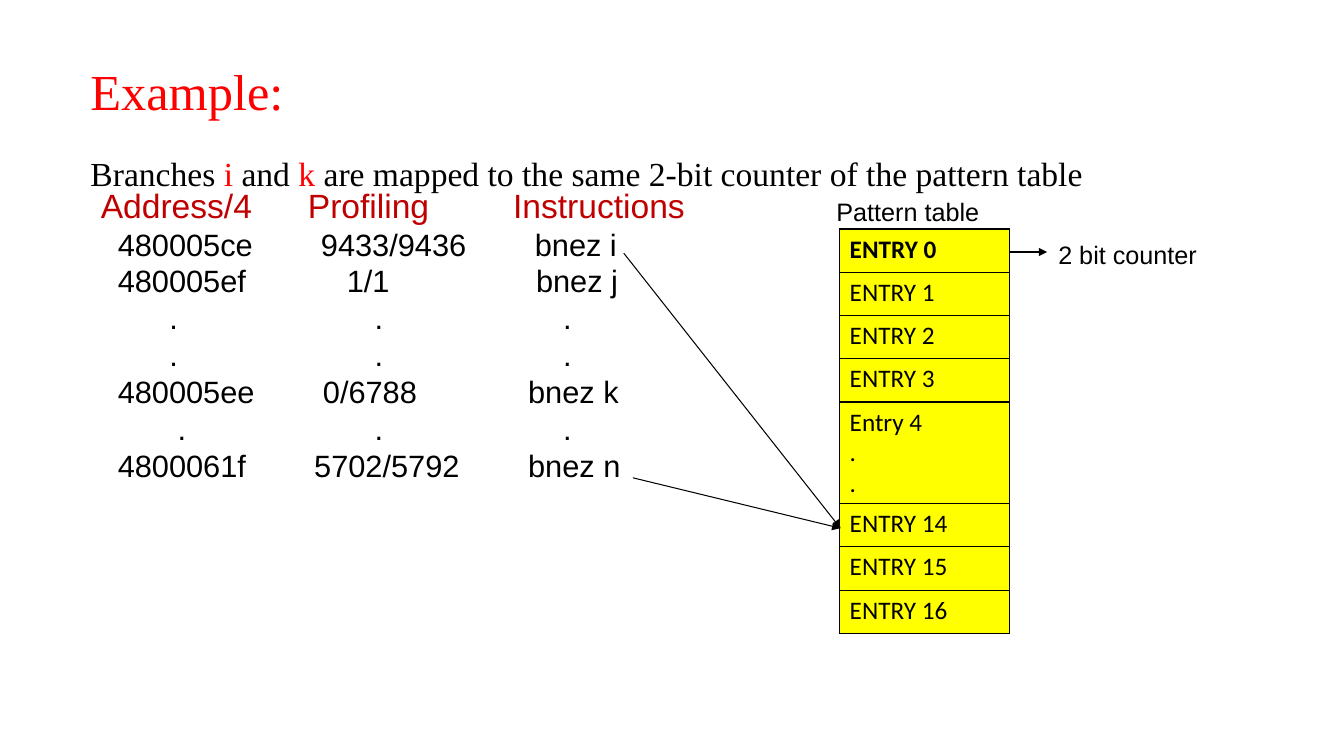
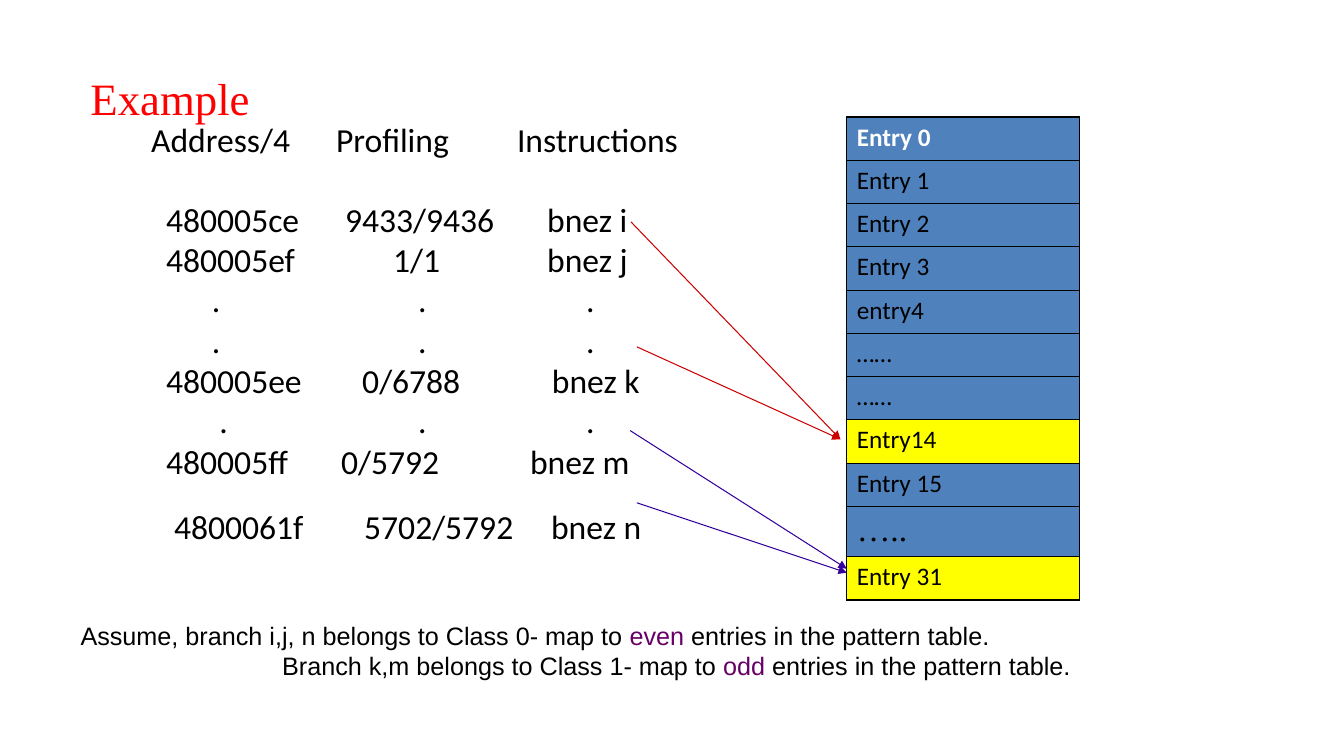
from dataclasses import dataclass

from lxml.etree import SubElement
from pptx import Presentation
from pptx.dml.color import RGBColor
from pptx.enum.shapes import MSO_CONNECTOR as Connector
from pptx.oxml import parse_xml
from pptx.oxml.ns import nsdecls, qn
from pptx.slide import Slide
from pptx.text.text import TextFrame, _Paragraph as Paragraph
from pptx.util import Cm, Pt

BLACK = RGBColor(0x00, 0x00, 0x00)
WHITE = RGBColor(0xFF, 0xFF, 0xFF)
RED = RGBColor(0xFF, 0x00, 0x00)
DARK_RED = RGBColor(0xC0, 0x00, 0x00)
ARROW_RED = RGBColor(0xCC, 0x00, 0x00)
ARROW_BLUE = RGBColor(0x33, 0x00, 0x99)
PURPLE = RGBColor(0x66, 0x00, 0x66)
YELLOW = RGBColor(0xFF, 0xFF, 0x00)
BLUE = RGBColor(0x4F, 0x81, 0xBD)

SANS = "Arial"
BODY = "Calibri"
SERIF = "Times New Roman"
ROW_HEIGHT = 1.09
MARGIN_TOP = 0.13
TITLE_MARGIN_TOP = 0.25
HEADINGS = ("Address/4", "Profiling", "Instructions")
DOTS = (".", ".", ".")


@dataclass(frozen=True)
class Style:
    font: str
    size: float
    color: RGBColor = BLACK
    bold: bool = False


@dataclass(frozen=True)
class Box:
    left: float
    top: float
    width: float
    height: float


@dataclass(frozen=True)
class Branch:
    cells: tuple[str, str, str]
    stops: tuple[float, float, float]
    style: Style
    space_before: float = 0


@dataclass(frozen=True)
class Entry:
    text: str
    fill: RGBColor
    style: Style = Style(BODY, 18)
    height: float = ROW_HEIGHT


@dataclass(frozen=True)
class Arrow:
    start: tuple[float, float]
    end: tuple[float, float]
    color: RGBColor = BLACK


def format_paragraph(paragraph: Paragraph, style: Style) -> None:
    for run in paragraph.runs:
        run.font.name = style.font
        run.font.size = Pt(style.size)
        run.font.bold = style.bold
        run.font.color.rgb = style.color


def add_box(slide: Slide, box: Box, margin_top: float = MARGIN_TOP) -> TextFrame:
    shape = slide.shapes.add_textbox(Cm(box.left), Cm(box.top), Cm(box.width), Cm(box.height))
    text_frame = shape.text_frame
    text_frame.word_wrap = True
    text_frame.margin_top = Cm(margin_top)
    return text_frame


def add_text(slide: Slide, box: Box, text: str, style: Style,
             margin_top: float = MARGIN_TOP) -> TextFrame:
    text_frame = add_box(slide, box, margin_top)
    text_frame.text = text
    format_paragraph(text_frame.paragraphs[0], style)
    return text_frame


def add_title(slide: Slide, box: Box, text: str, size: float) -> TextFrame:
    return add_text(slide, box, text, Style(SERIF, size, RED), TITLE_MARGIN_TOP)


def write_accented(paragraph: Paragraph, parts: tuple[str, ...], style: Style,
                   accent: RGBColor) -> None:
    for part in parts:
        paragraph.add_run().text = part
    format_paragraph(paragraph, style)
    for run in paragraph.runs[1::2]:
        run.font.color.rgb = accent


def add_branches(slide: Slide, box: Box, branches: list[Branch], margin_top: float) -> None:
    text_frame = add_box(slide, box, margin_top)
    for index, branch in enumerate(branches):
        paragraph = text_frame.add_paragraph() if index else text_frame.paragraphs[0]
        stops = [stop for stop in branch.stops if stop]
        paragraph.text = "\t" * (len(stops) - 2) + "\t".join(branch.cells)
        paragraph.space_before = Pt(branch.space_before)
        format_paragraph(paragraph, branch.style)
        tab_list = SubElement(paragraph._p.get_or_add_pPr(), qn("a:tabLst"))
        for stop in stops:
            SubElement(tab_list, qn("a:tab"), pos=str(Cm(stop)), algn="l")


def add_pattern_table(slide: Slide, left: float, top: float, width: float,
                      entries: list[Entry]) -> None:
    height = sum(entry.height for entry in entries)
    table = slide.shapes.add_table(
        len(entries), 1, Cm(left), Cm(top), Cm(width), Cm(height)).table
    table.horz_banding = False
    for index, entry in enumerate(entries):
        table.rows[index].height = Cm(entry.height)
        cell = table.cell(index, 0)
        cell.text_frame.text = entry.text
        for paragraph in cell.text_frame.paragraphs:
            format_paragraph(paragraph, entry.style)
        cell.fill.solid()
        cell.fill.fore_color.rgb = entry.fill
        for position, side in enumerate("LRTB"):
            cell._tc.get_or_add_tcPr().insert(position, parse_xml(
                f'<a:ln{side} {nsdecls("a")} w="{Pt(1)}"><a:solidFill>'
                f'<a:srgbClr val="{BLACK}"/></a:solidFill></a:ln{side}>'))


def add_arrows(slide: Slide, arrows: list[Arrow]) -> None:
    for arrow in arrows:
        points = [Cm(value) for value in (*arrow.start, *arrow.end)]
        connector = slide.shapes.add_connector(Connector.STRAIGHT, *points)
        connector.line.color.rgb = arrow.color
        connector.line.width = Pt(0.75)
        SubElement(connector.line._get_or_add_ln(), qn("a:tailEnd"), type="triangle")
        SubElement(connector._element.spPr, qn("a:effectLst"))


def build_shared_counter(slide: Slide) -> None:
    heading = Style(SANS, 24, DARK_RED)
    plain = Style(SANS, 22)
    label = Style(SANS, 18)
    add_branches(slide, Box(2.29, 2.79, 29.24, 14.35), [
        Branch(HEADINGS, (0, 5.22, 10.39), heading),
        Branch(("480005ce", "9433/9436", "bnez i"), (0.43, 5.55, 10.94), plain),
        Branch(("480005ef", "1/1", "bnez j"), (0.43, 6.2, 10.97), plain),
        Branch(DOTS, (1.73, 6.9, 11.65), plain),
        Branch(DOTS, (1.73, 6.9, 11.65), plain),
        Branch(("480005ee", "0/6788", "bnez k"), (0.43, 5.6, 10.77), plain),
        Branch(DOTS, (1.94, 6.9, 11.65), plain),
        Branch(("4800061f", "5702/5792", "bnez n"), (0.43, 5.38, 10.77), plain),
    ], 1.87)
    add_pattern_table(slide, 21.16, 5.77, 4.29, [
        Entry("ENTRY 0", YELLOW, Style(BODY, 18, bold=True)),
        *(Entry(f"ENTRY {number}", YELLOW) for number in (1, 2, 3)),
        Entry("Entry 4\n.\n.", YELLOW, height=2.56),
        *(Entry(f"ENTRY {number}", YELLOW) for number in (14, 15, 16)),
    ])
    entry_14 = (21.18, 13.31)
    add_arrows(slide, [
        Arrow((15.72, 6.38), entry_14),
        Arrow((15.95, 12.04), entry_14),
        Arrow((25.45, 6.35), (26.39, 6.35)),
    ])
    add_text(slide, Box(20.83, 4.83, 5.33, 0.97), "Pattern table", label)
    add_text(slide, Box(26.42, 5.89, 4.06, 1.73), "2 bit counter", label)
    text_frame = add_title(slide, Box(2.03, 1.27, 29.21, 2.84), "Example:", 36)
    statement = text_frame.add_paragraph()
    statement.space_before = Pt(26)
    statement.line_spacing = 0.9
    write_accented(statement, (
        "Branches ", "i", " and ", "k",
        " are mapped to the same 2-bit counter of the pattern table"), Style(SERIF, 24), RED)


def build_class_mapping(slide: Slide) -> None:
    plain = Style(BODY, 24)
    add_title(slide, Box(2.03, 1.52, 16, 1.35), "Example", 32)
    add_pattern_table(slide, 21.34, 2.95, 5.87, [
        Entry("Entry 0", BLUE, Style(BODY, 18, WHITE, True)),
        *(Entry(text, BLUE) for text in
          ("Entry 1", "Entry 2", "Entry 3", "entry4", "……", "……")),
        Entry("Entry14", YELLOW),
        Entry("Entry 15", BLUE),
        Entry("…..", BLUE, Style(SERIF, 24), 1.21),
        Entry("Entry 31", YELLOW),
    ])
    add_branches(slide, Box(3.56, 2.87, 14.45, 13.23), [
        Branch(HEADINGS, (0, 4.66, 9.22), plain),
        Branch(("480005ce", "9433/9436", "bnez i"), (0.38, 4.89, 9.98), plain, 28),
        Branch(("480005ef", "1/1", "bnez j"), (0.38, 6.1, 9.98), plain),
        Branch(DOTS, (1.53, 6.73, 10.96), plain),
        Branch(DOTS, (1.53, 6.73, 10.96), plain),
        Branch(("480005ee", "0/6788", "bnez k"), (0.38, 5.32, 10.1), plain),
        Branch(DOTS, (1.72, 6.73, 10.96), plain),
        Branch(("480005ff", "0/5792", "bnez m"), (0.38, 4.79, 9.55), plain),
        Branch(("4800061f", "5702/5792", "bnez n"), (0.58, 5.37, 10.08), plain, 18),
    ], MARGIN_TOP)
    entry_14 = (21.18, 11.07)
    add_arrows(slide, [
        Arrow((15.88, 10.85), (21.34, 14.33), ARROW_BLUE),
        Arrow((16.05, 12.67), (21.34, 14.43), ARROW_BLUE),
        Arrow((15.9, 5.59), entry_14, ARROW_RED),
        Arrow((16.05, 8.74), entry_14, ARROW_RED),
    ])
    text_frame = add_box(slide, Box(1.78, 15.49, 28.19, 1.68))
    note = Style(SANS, 18)
    write_accented(text_frame.paragraphs[0], (
        "Assume, branch i,j, n belongs to Class 0- map to ", "even ",
        "entries in the pattern table."), note, PURPLE)
    odd_note = text_frame.add_paragraph()
    odd_note._p.get_or_add_pPr().set("marL", str(Cm(5.08)))
    write_accented(odd_note, (
        "Branch k,m belongs to Class 1- map to ", "odd",
        " entries in the pattern table."), note, PURPLE)


def main() -> None:
    presentation = Presentation()
    presentation.slide_width = Cm(33.87)
    presentation.slide_height = Cm(19.05)
    blank = presentation.slide_layouts[6]
    for build in (build_shared_counter, build_class_mapping):
        build(presentation.slides.add_slide(blank))
    presentation.save("out.pptx")


main()
